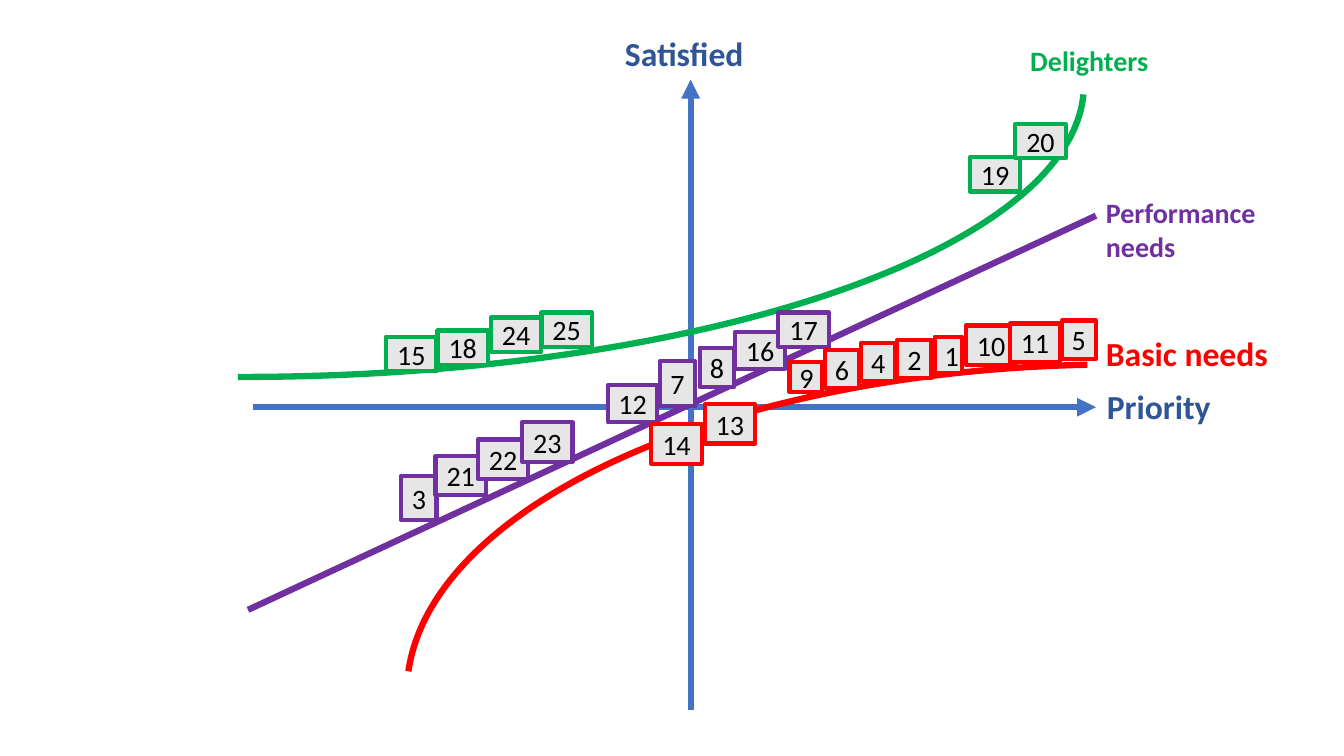
from dataclasses import dataclass

from pptx import Presentation
from pptx.dml.color import RGBColor
from pptx.enum.shapes import MSO_CONNECTOR as Connector, MSO_SHAPE as Shape
from pptx.enum.text import MSO_ANCHOR as Anchor, MSO_AUTO_SIZE as AutoSize, PP_ALIGN as Align
from pptx.oxml.ns import qn
from pptx.util import Inches, Pt
from lxml.etree import SubElement


@dataclass(frozen=True)
class Theme:
    font: str = "Calibri"
    axis: str = "4472C4"
    axis_text: str = "2F5597"
    delight: str = "00B050"
    performance: str = "7030A0"
    basic: str = "FF0000"
    tile: str = "E7E6E6"
    ink: str = "000000"
    large: float = 24
    normal: float = 20
    curve_width: float = 4.5
    border_width: float = 3


class KanoChart:
    CELLS_PER_INCH = 10

    def __init__(self, deck, theme):
        self.theme = theme
        self.page = deck.slides.add_slide(deck.slide_layouts[6])

    def grid(self, *cells):
        return [Inches(cell / self.CELLS_PER_INCH) for cell in cells]

    def stroke(self, line, color, width):
        line.color.rgb = RGBColor.from_string(color)
        line.width = Pt(width)

    def add_span(self, para, text, size, color, bold):
        span = para.add_run()
        span.text = text
        span.font.name = self.theme.font
        span.font.size = Pt(size)
        span.font.bold = bold
        span.font.color.rgb = RGBColor.from_string(color)

    def line(self, start, end, color, arrow=False):
        connector = self.page.shapes.add_connector(
            Connector.STRAIGHT, *self.grid(*start, *end))
        self.stroke(connector.line, color, self.theme.curve_width)
        properties = connector._element.spPr
        if arrow:
            SubElement(properties.find(qn("a:ln")), qn("a:tailEnd"), type="triangle")
        SubElement(properties, qn("a:effectLst"))

    def arc(self, place, rotation, angles, color):
        curve = self.page.shapes.add_shape(Shape.ARC, *self.grid(*place))
        curve.rotation = rotation
        curve.adjustments[0], curve.adjustments[1] = angles
        curve.shadow.inherit = False
        curve.fill.background()
        self.stroke(curve.line, color, self.theme.curve_width)

    def label(self, text, place, size, color):
        box = self.page.shapes.add_textbox(*self.grid(*place))
        frame = box.text_frame
        frame.word_wrap = True
        frame.auto_size = AutoSize.SHAPE_TO_FIT_TEXT
        self.add_span(frame.paragraphs[0], text, size, color, True)

    def tile(self, number, place, color):
        box = self.page.shapes.add_shape(Shape.RECTANGLE, *self.grid(*place))
        box.shadow.inherit = False
        box.fill.solid()
        box.fill.fore_color.rgb = RGBColor.from_string(self.theme.tile)
        self.stroke(box.line, color, self.theme.border_width)
        box.text_frame.vertical_anchor = Anchor.MIDDLE
        para = box.text_frame.paragraphs[0]
        para.alignment = Align.CENTER
        self.add_span(para, str(number), self.theme.normal, self.theme.ink, False)

    def tiles(self, items, color):
        for number, *place in items:
            self.tile(number, place, color)


PERFORMANCE_ITEMS = [
    (8, 69.4, 34.5, 3.4, 3.9),
    (7, 65.5, 35.8, 3.4, 4.5),
    (3, 39.8, 47.2, 3.5, 4.4),
    (12, 60.3, 38.2, 4.9, 3.7),
    (16, 72.9, 32.9, 5, 3.7),
    (17, 77.2, 31, 5, 3.4),
    (21, 43.2, 45.2, 5, 3.9),
    (22, 47.4, 43.6, 5, 3.9),
    (23, 51.8, 41.9, 5, 3.9),
]

DELIGHT_ITEMS = [(number, left, top, 5, 3.4) for number, left, top in [
    (15, 38.3, 33.4),
    (18, 43.4, 32.8),
    (19, 96.2, 15.6),
    (20, 100.7, 12.3),
    (24, 48.7, 31.5),
    (25, 53.7, 31),
]]

BASIC_ITEMS = [
    (10, 95.8, 32.3, 5, 3.9),
    (9, 78.3, 35.9, 3.2, 3),
    (1, 92.7, 33.4, 2.7, 3.6),
    (2, 89, 33.7, 3.4, 3.8),
    (4, 85.4, 34, 3.4, 3.8),
    (6, 81.8, 34.7, 3.4, 3.8),
    (5, 105.3, 31.8, 3.4, 3.8),
    (11, 100.2, 32.1, 4.9, 3.8),
    (13, 69.9, 40.1, 5, 3.9),
    (14, 64.6, 42.1, 5, 3.9),
]


def main():
    deck = Presentation()
    deck.slide_width, deck.slide_height = Inches(13.33), Inches(7.5)
    theme = Theme()
    chart = KanoChart(deck, theme)

    chart.line((25.1, 40.4), (108.7, 40.4), theme.axis, arrow=True)
    chart.line((68.5, 70.4), (68.5, 7.9), theme.axis, arrow=True)
    chart.label("Priority", (108.8, 37.8, 15, 5), theme.large, theme.axis_text)
    chart.label("Satisfied", (61, 2.8, 15, 5), theme.large, theme.axis_text)

    chart.arc((-5, -75.1, 58, 167), 90, (162.4, 0.49), theme.delight)
    chart.arc((78.3, -1.8, 65.2, 141.1), 270, (163.05, 212.79), theme.basic)
    chart.line((24.6, 60.5), (108.7, 21.4), theme.performance)

    chart.label("Delighters", (101.2, 3.8, 18.6, 4.4), theme.normal, theme.delight)
    chart.label("Performance needs", (108.7, 18.9, 18.6, 7.7), theme.normal, theme.performance)
    chart.label("Basic needs", (108.7, 32.5, 18.6, 5), theme.large, theme.basic)

    chart.tiles(PERFORMANCE_ITEMS, theme.performance)
    chart.tiles(DELIGHT_ITEMS, theme.delight)
    chart.tiles(BASIC_ITEMS, theme.basic)

    deck.save("out.pptx")


if __name__ == "__main__":
    main()
